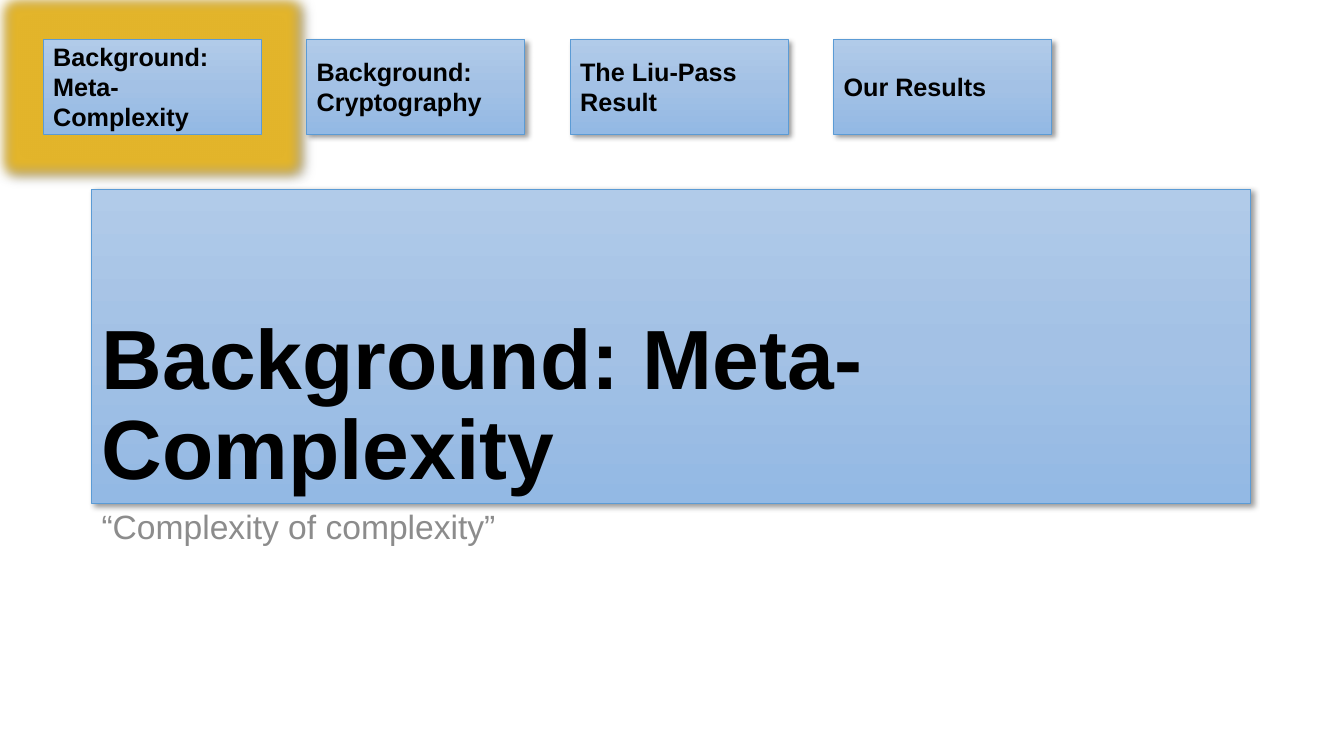
from copy import deepcopy

from lxml import etree
from pptx import Presentation
from pptx.dml.color import RGBColor
from pptx.enum.shapes import MSO_SHAPE
from pptx.enum.text import MSO_ANCHOR, MSO_AUTO_SIZE, PP_ALIGN
from pptx.oxml.ns import qn
from pptx.util import Cm, Pt

RECT = MSO_SHAPE.RECTANGLE
TOP, MIDDLE, BOTTOM = MSO_ANCHOR.TOP, MSO_ANCHOR.MIDDLE, MSO_ANCHOR.BOTTOM
LEFT = PP_ALIGN.LEFT
FIXED = MSO_AUTO_SIZE.NONE

BLACK = RGBColor(0x00, 0x00, 0x00)
GREY = RGBColor(0x8C, 0x8C, 0x8C)
EDGE = RGBColor(0x5B, 0x9B, 0xD5)
GOLD = RGBColor(0xE3, 0xB5, 0x2B)
PALE = RGBColor(0xB1, 0xCB, 0xE9)
MID = RGBColor(0xA3, 0xC1, 0xE5)
DEEP = RGBColor(0x93, 0xB9, 0xE4)

TOPICS = [
    "Background: Meta-Complexity",
    "Background: Cryptography",
    "The Liu-Pass Result",
    "Our Results",
]
CURRENT = 0


class Deck:
    font = "Arial"

    def __init__(self):
        self.prs = Presentation()
        self.prs.slide_width, self.prs.slide_height = Cm(33.87), Cm(19.05)
        self.slide = self.prs.slides.add_slide(self.prs.slide_layouts[5])

    def title(self, text, *box):
        shape = self.slide.shapes.title
        shape.left, shape.top, shape.width, shape.height = map(Cm, box)
        self.panel(shape)
        para = self.label(shape, text, 60, BLACK, BOTTOM, bold=True)
        para.line_spacing = 0.9

    def note(self, text, *box):
        shape = self.slide.shapes.add_textbox(*map(Cm, box))
        para = self.label(shape, text, 24, GREY, TOP)
        para.line_spacing = 0.9
        para.space_before = Pt(10)

    def tab(self, text, *box, glow=False):
        shape = self.slide.shapes.add_shape(RECT, *map(Cm, box))
        self.panel(shape, glow)
        self.label(shape, text, 18, BLACK, MIDDLE, bold=True)

    def label(self, shape, text, size, color, anchor, bold=False):
        frame = shape.text_frame
        frame.word_wrap = True
        frame.auto_size = FIXED
        frame.vertical_anchor = anchor
        para = frame.paragraphs[0]
        para.alignment = LEFT
        run = para.add_run()
        run.text = text
        run.font.name, run.font.size = self.font, Pt(size)
        run.font.bold = bold
        run.font.color.rgb = color
        return para

    def panel(self, shape, glow=False):
        """Give a shape the blue gradient, thin edge and soft shadow."""
        shape.fill.gradient()
        shape.fill.gradient_angle = 270
        stops = shape._element.spPr.find(".//" + qn("a:gsLst"))
        stops.insert(1, deepcopy(stops[0]))
        looks = zip(shape.fill.gradient_stops, (0, 0.5, 1), (PALE, MID, DEEP))
        for stop, place, color in looks:
            stop.position = place
            stop.color.rgb = color
        shape.line.color.rgb = EDGE
        shape.line.width = Pt(0.5)
        shape.shadow.inherit = False
        if glow:
            self.effect(shape, "a:glow", GOLD, 100, rad=Pt(18))
        self.effect(shape, "a:outerShdw", BLACK, 40, blurRad=Pt(4),
                    dist=Pt(3), dir=45 * 60000, rotWithShape=0)

    def effect(self, shape, tag, color, alpha, **attrs):
        group = shape._element.spPr.find(qn("a:effectLst"))
        node = etree.SubElement(group, qn(tag))
        for key, value in attrs.items():
            node.set(key, str(int(value)))
        tint = etree.SubElement(node, qn("a:srgbClr"), val=str(color))
        etree.SubElement(tint, qn("a:alpha"), val=str(alpha * 1000))


def main():
    deck = Deck()
    deck.title(TOPICS[CURRENT], 2.31, 4.76, 29.21, 7.92)
    deck.note("“Complexity of complexity”", 2.31, 12.75, 29.21, 4.17)
    for i, topic in enumerate(TOPICS):
        deck.tab(topic, 1.09 + 6.64 * i, 0.99, 5.49, 2.39, glow=i == CURRENT)
    deck.prs.save("out.pptx")


if __name__ == "__main__":
    main()
